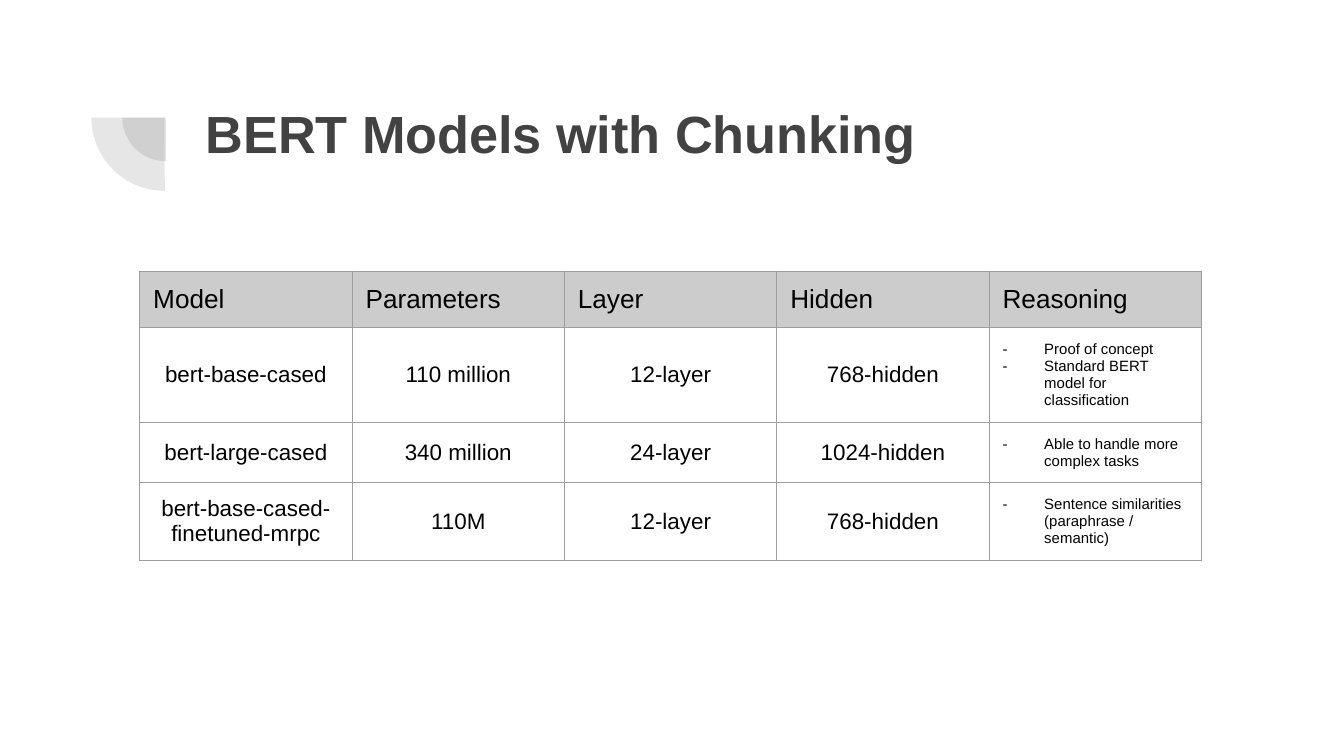
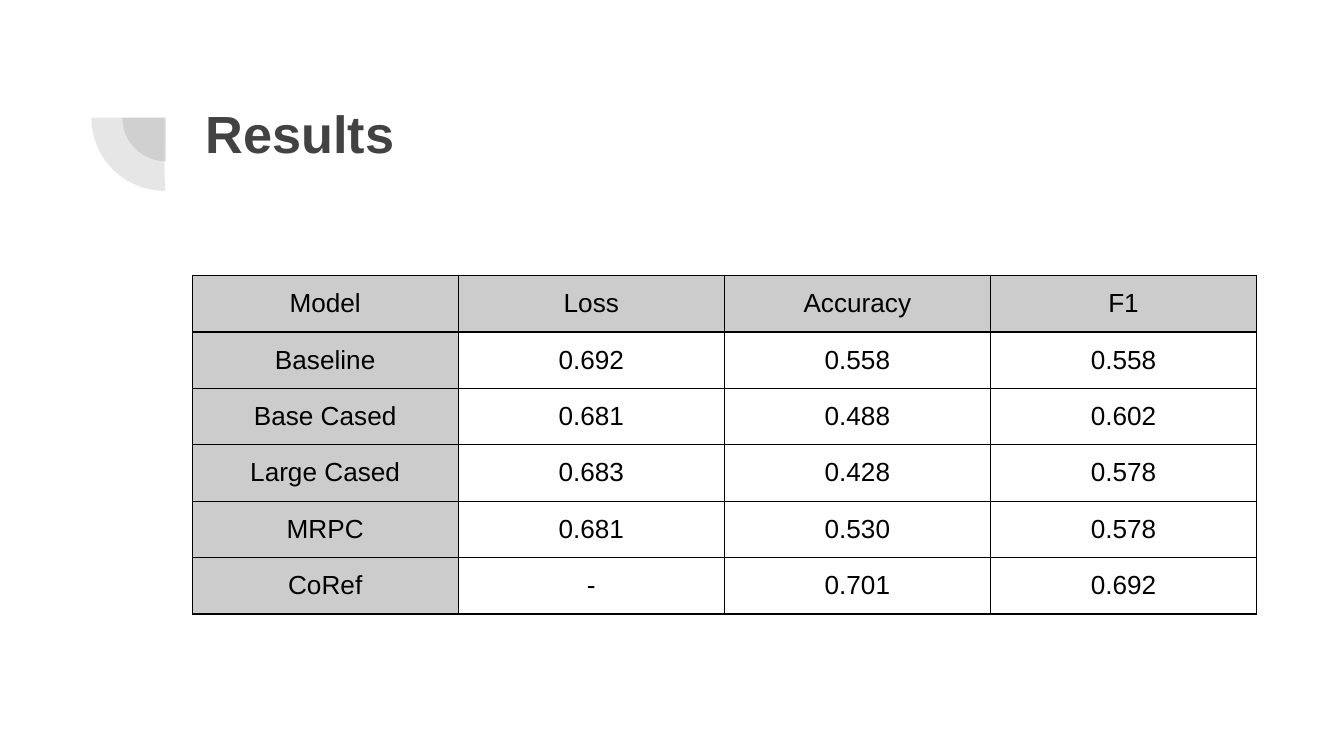
"""Build two slides on text models: a table of models and a table of results."""
from lxml.etree import SubElement as Sub
from pptx import Presentation
from pptx.dml.color import RGBColor
from pptx.enum.shapes import MSO_SHAPE as Kind
from pptx.enum.text import MSO_ANCHOR as Anchor, MSO_AUTO_SIZE as Fit, PP_ALIGN as Align
from pptx.oxml.ns import qn
from pptx.util import Inches, Pt

INK = RGBColor(0x42, 0x42, 0x42)
BLACK = RGBColor(0, 0, 0)
HEAD = RGBColor(0xCC, 0xCC, 0xCC)
RULE = RGBColor(0x9E, 0x9E, 0x9E)
FONT = "Arial"
PAD = Inches(0.1)
ROW = Inches(0.42)
HANG = Inches(0.31)
PIES = [(0.91, 0.55, 0.65), (0.68, 0.33, 1.09)]

MODELS = [
    ["Model", "Parameters", "Layer", "Hidden", "Reasoning"],
    ["bert-base-cased", "110 million", "12-layer", "768-hidden",
     "Proof of concept\nStandard BERT model for classification"],
    ["bert-large-cased", "340 million", "24-layer", "1024-hidden",
     "Able to handle more complex tasks"],
    ["bert-base-cased- finetuned-mrpc", "110M", "12-layer", "768-hidden",
     "Sentence similarities (paraphrase / semantic)"],
]
SCORES = [
    ["Model", "Loss", "Accuracy", "F1"],
    ["Baseline", "0.692", "0.558", "0.558"],
    ["Base Cased", "0.681", "0.488", "0.602"],
    ["Large Cased", "0.683", "0.428", "0.578"],
    ["MRPC", "0.681", "0.530", "0.578"],
    ["CoRef", "-", "0.701", "0.692"],
]
TOP = (14, Align.LEFT, Anchor.TOP)
BODY = (12, Align.CENTER, Anchor.MIDDLE)
NOTE = (8, Align.LEFT, Anchor.TOP)
SCORE = (14, Align.CENTER, Anchor.TOP)
DECK = [
    ("BERT Models with Chunking", MODELS, 1.04, 2.02, 1.58, RULE, False),
    ("Results", SCORES, 1.43, 2.05, 1.98, BLACK, True),
]


def write(par, text, size, color, bold=False):
    run = par.add_run()
    run.text = text
    font = run.font
    font.name, font.size, font.bold = FONT, Pt(size), bold
    font.color.rgb = color


def frame(cell, color):
    props = cell._tc.get_or_add_tcPr()
    for side in ("lnL", "lnR", "lnT", "lnB"):
        line = Sub(props, qn("a:" + side), w=str(Pt(0.75)))
        fill = Sub(line, qn("a:solidFill"))
        Sub(fill, qn("a:srgbClr"), val=str(color))


prs = Presentation()
prs.slide_width, prs.slide_height = Inches(10), Inches(5.625)

for name, rows, left, top, wide, edge, side in DECK:
    slide = prs.slides.add_slide(prs.slide_layouts[5])

    for x, y, size in PIES:
        pie = slide.shapes.add_shape(
            Kind.PIE, Inches(x), Inches(y), Inches(size), Inches(size))
        pie.adjustments[0], pie.adjustments[1] = 107.93, 162
        pie.rotation = 270
        pie.shadow.inherit = False
        pie.line.fill.background()
        pie.fill.solid()
        pie.fill.fore_color.rgb = INK
        tint = pie._element.spPr.find(qn("a:solidFill"))[0]
        Sub(tint, qn("a:alpha"), val="13000")

    title = slide.shapes.title
    title.left, title.top = Inches(1.43), Inches(0.65)
    title.width, title.height = Inches(7.69), Inches(1.09)
    box = title.text_frame
    box.margin_left = box.margin_right = box.margin_top = box.margin_bottom = PAD
    box.vertical_anchor, box.auto_size = Anchor.TOP, Fit.NONE
    box.paragraphs[0].alignment = Align.LEFT
    write(box.paragraphs[0], name, 28, INK, True)

    cols = len(rows[0])
    table = slide.shapes.add_table(
        len(rows), cols, Inches(left), Inches(top),
        Inches(wide) * cols, ROW * len(rows)).table
    table.horz_banding, table.first_col = False, side
    for row in table.rows:
        row.height = ROW

    for r, row in enumerate(rows):
        for c, text in enumerate(row):
            cell = table.cell(r, c)
            note = not side and r > 0 and c == cols - 1
            look = SCORE if side else TOP if r == 0 else NOTE if note else BODY
            size, align, anchor = look
            frame(cell, edge)
            if r == 0 or side and c == 0:
                cell.fill.solid()
                cell.fill.fore_color.rgb = HEAD
            else:
                cell.fill.background()
            cell.margin_left = cell.margin_right = PAD
            cell.margin_top = cell.margin_bottom = PAD
            cell.vertical_anchor = anchor
            for n, part in enumerate(text.split("\n")):
                body = cell.text_frame
                par = body.add_paragraph() if n else body.paragraphs[0]
                par.alignment = align
                if note:
                    props = par._p.get_or_add_pPr()
                    props.set("marL", str(HANG))
                    props.set("indent", str(-HANG))
                    hue = Sub(props, qn("a:buClr"))
                    Sub(hue, qn("a:srgbClr"), val=str(BLACK))
                    Sub(props, qn("a:buFont"), typeface=FONT)
                    Sub(props, qn("a:buChar"), char="-")
                write(par, part, size, BLACK)

prs.save("out.pptx")
